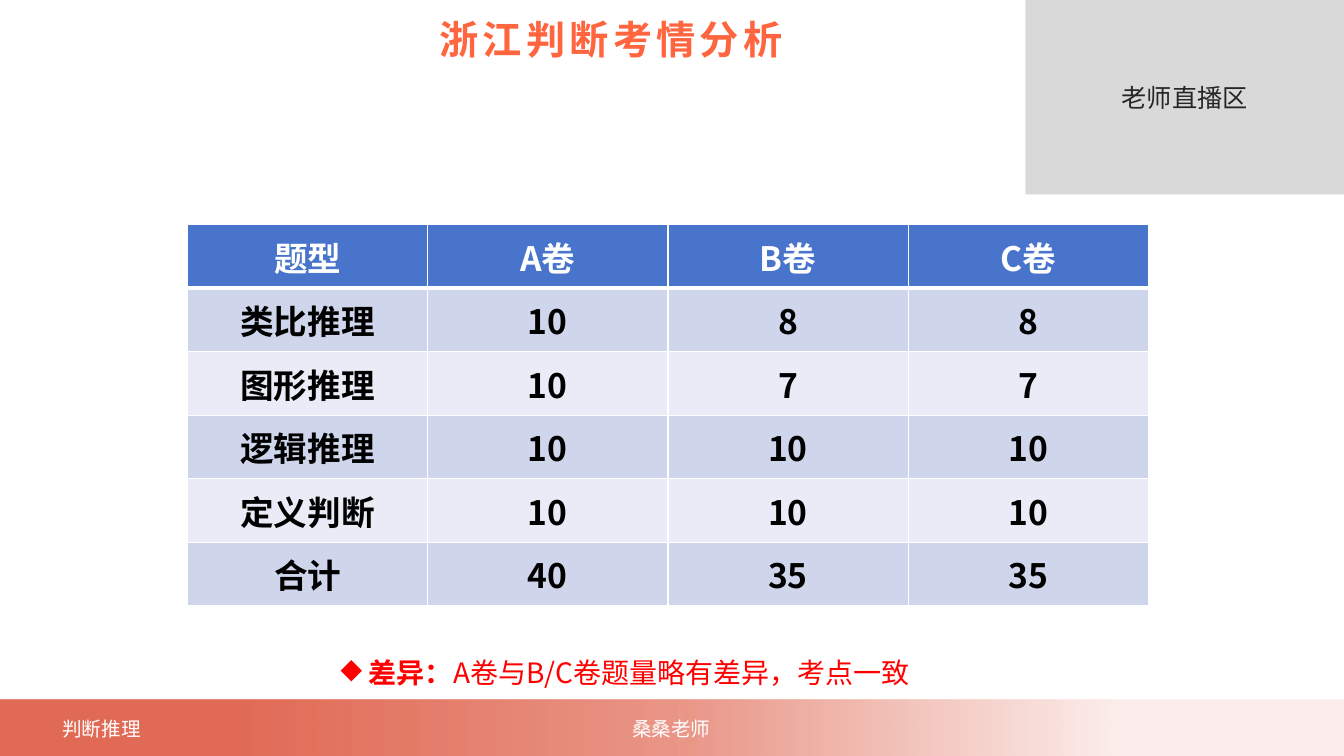
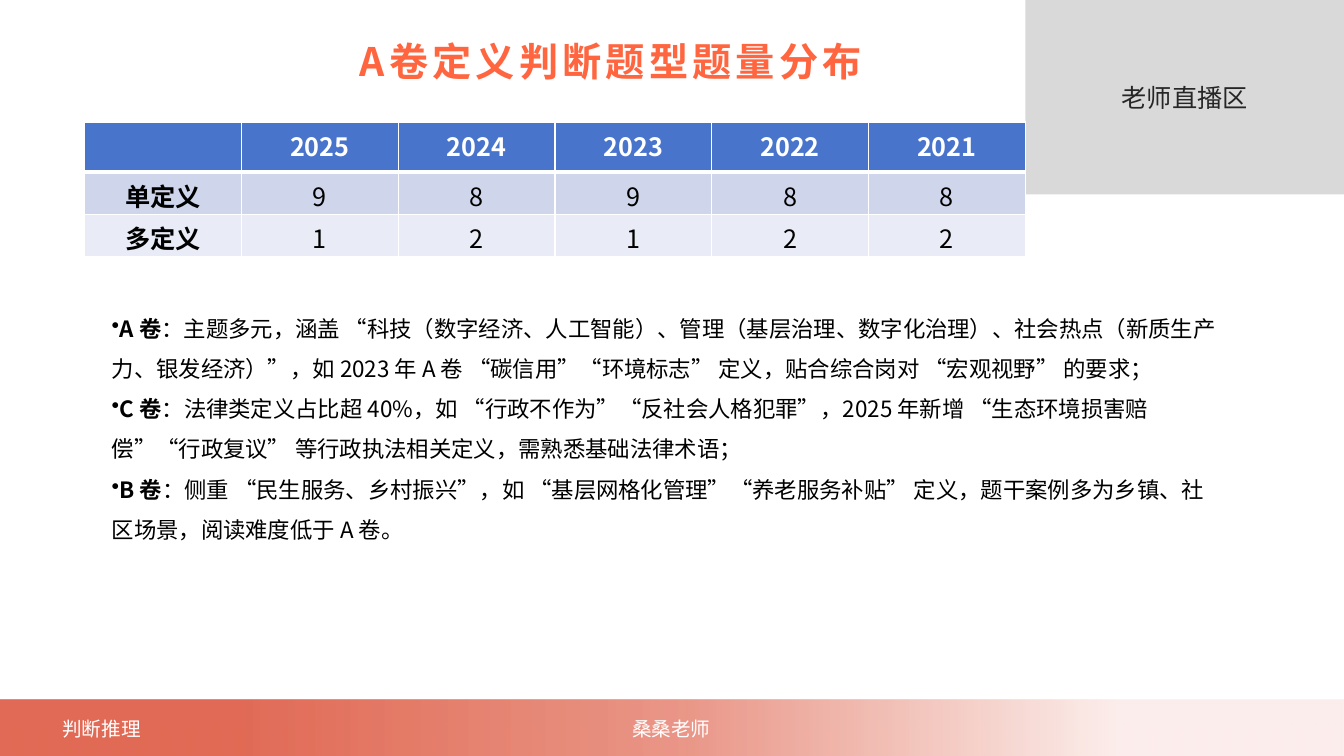
from dataclasses import dataclass

from lxml import etree
from pptx import Presentation
from pptx.dml.color import RGBColor
from pptx.enum.shapes import MSO_SHAPE
from pptx.enum.text import MSO_ANCHOR, PP_ALIGN
from pptx.oxml.ns import qn
from pptx.util import Inches, Pt

RECT = MSO_SHAPE.RECTANGLE
TOP, MIDDLE = MSO_ANCHOR.TOP, MSO_ANCHOR.MIDDLE
LEFT, CENTER = PP_ALIGN.LEFT, PP_ALIGN.CENTER


@dataclass(frozen=True)
class Theme:
    font: str = "Noto Sans CJK SC"
    white: str = "FFFFFF"
    black: str = "000000"
    title: str = "FF653F"
    accent: str = "FF0000"
    live_fill: str = "D9D9D9"
    live_text: str = "262626"
    footer: str = "DC5037"
    footer_stops: tuple = ((18, 84), (51, 59), (83, 10))  # position %, opacity %
    header: str = "4874CB"
    bands: tuple = ("CFD6EC", "E9EBF6")
    title_size: int = 28
    table_size: int = 24
    note_size: int = 20
    small_table_size: int = 18
    live_size: int = 18
    body_size: int = 16
    footer_size: int = 14


T = Theme()


# ---- Text helpers ----
def style_run(r, size, color, bold=False, spacing=0):
    r.font.size = Pt(size)
    r.font.bold = bold
    r.font.name = T.font
    r.font.color.rgb = RGBColor.from_string(color)
    rPr = r.font._element
    etree.SubElement(rPr, qn("a:ea")).set("typeface", T.font)
    if spacing:
        rPr.set("spc", str(spacing * 100))


def set_text(tf, text, size, color, bold=False, align=LEFT, spacing=0):
    tf.text = text
    p = tf.paragraphs[0]
    p.alignment = align
    for r in p.runs:
        style_run(r, size, color, bold, spacing)


def add_text_box(s, box, wrap=True, anchor=TOP):
    tf = s.shapes.add_textbox(*map(Inches, box)).text_frame
    tf.word_wrap = wrap
    tf.vertical_anchor = anchor
    return tf


def add_bullets(s, box, items, size, color, bullet, line_spacing, indent=0):
    """Each item is a bold lead followed by regular text."""
    tf = add_text_box(s, box)
    for i, (lead, rest) in enumerate(items):
        p = tf.paragraphs[0] if i == 0 else tf.add_paragraph()
        pPr = p._p.get_or_add_pPr()
        pPr.set("marL", str(Inches(indent)))
        pPr.set("indent", str(-Inches(indent)))
        etree.SubElement(pPr, qn("a:buChar")).set("char", bullet)
        p.line_spacing = line_spacing
        for text, bold in ((lead, True), (rest, False)):
            r = p.add_run()
            r.text = text
            style_run(r, size, color, bold)


# ---- Shared frame ----
def add_panel(s, box):
    sp = s.shapes.add_shape(RECT, *map(Inches, box))
    sp.shadow.inherit = False
    sp.line.fill.background()
    return sp


def add_footer(s, box):
    left, top, width, height = box
    sp = add_panel(s, box)
    sp.fill.gradient()
    sp.fill.gradient_angle = 0
    stops = sp._element.spPr.find(".//" + qn("a:gsLst"))
    for old in list(stops):
        stops.remove(old)
    for pos, alpha in T.footer_stops:
        gs = etree.SubElement(stops, qn("a:gs"), pos=str(pos * 1000))
        clr = etree.SubElement(gs, qn("a:srgbClr"), val=T.footer)
        etree.SubElement(clr, qn("a:alpha"), val=str(alpha * 1000))
    for x, text in ((0.52, "判断推理"), (6.17, "桑桑老师")):
        tf = add_text_box(s, (left + x, top + 0.12, 0.98, 0.34), wrap=False)
        set_text(tf, text, T.footer_size, T.white)


def add_frame(prs, title, title_top):
    s = prs.slides.add_slide(prs.slide_layouts[6])
    # Live video area
    sp = add_panel(s, (10.17, 0, 3.16, 1.93))
    sp.fill.solid()
    sp.fill.fore_color.rgb = RGBColor.from_string(T.live_fill)
    sp.text_frame.vertical_anchor = MIDDLE
    set_text(sp.text_frame, "老师直播区", T.live_size, T.live_text, align=CENTER)
    # Footer band and title
    add_footer(s, (0, 6.94, 13.33, 0.57))
    tf = add_text_box(s, (0.31, title_top, 11.5, 0.77), anchor=MIDDLE)
    set_text(tf, title, T.title_size, T.title, True, CENTER, spacing=3)
    return s


# ---- Tables ----
def set_borders(cell, widths):
    tcPr = cell._tc.get_or_add_tcPr()
    for side, width in widths.items():
        ln = etree.SubElement(tcPr, qn("a:ln" + side), w=str(Pt(width)))
        fill = etree.SubElement(ln, qn("a:solidFill"))
        etree.SubElement(fill, qn("a:srgbClr"), val=T.white)


def add_data_table(s, box, rows, size, heights, anchor=TOP, bold_values=False):
    shape = s.shapes.add_table(len(rows), len(rows[0]), *map(Inches, box))
    table = shape.table
    for row, height in zip(table.rows, heights):
        row.height = Inches(height)
    for i, values in enumerate(rows):
        head = i == 0
        fill = T.header if head else T.bands[(i - 1) % 2]
        color = T.white if head else T.black
        # A thick rule separates the header from the body
        widths = {"L": 1, "R": 1, "T": 3 if i == 1 else 1, "B": 3 if head else 1}
        for j, value in enumerate(values):
            cell = table.cell(i, j)
            set_borders(cell, widths)
            cell.fill.solid()
            cell.fill.fore_color.rgb = RGBColor.from_string(fill)
            cell.vertical_anchor = anchor
            bold = head or j == 0 or bold_values
            set_text(cell.text_frame, value, size, color, bold, CENTER)


# ---- Slides ----
def add_overview_slide(prs):
    s = add_frame(prs, "浙江判断考情分析", 0)
    rows = [
        ("题型", "A卷", "B卷", "C卷"),
        ("类比推理", "10", "8", "8"),
        ("图形推理", "10", "7", "7"),
        ("逻辑推理", "10", "10", "10"),
        ("定义判断", "10", "10", "10"),
        ("合计", "40", "35", "35"),
    ]
    add_data_table(s, (1.86, 2.23, 9.53, 3.78), rows, T.table_size,
                   [0.63] * len(rows), MIDDLE, bold_values=True)
    add_bullets(s, (3.28, 6.35, 6.26, 0.54),
                [("差异：", "A卷与B/C卷题量略有差异，考点一致")],
                T.note_size, T.accent, "◆", 1.3, indent=0.28)


def add_distribution_slide(prs):
    s = add_frame(prs, "A卷定义判断题型题量分布", 0.22)
    rows = [
        ("", "2025", "2024", "2023", "2022", "2021"),
        ("单定义", "9", "8", "9", "8", "8"),
        ("多定义", "1", "2", "1", "2", "2"),
    ]
    add_data_table(s, (0.84, 1.21, 9.33, 1.34), rows, T.small_table_size,
                   [0.5, 0.42, 0.42])
    items = [
        ("A 卷", "：主题多元，涵盖 “科技（数字经济、人工智能）、管理（基层治理、数字化治理）、"
                "社会热点（新质生产力、银发经济）”，如 2023 年 A 卷 “碳信用”“环境标志” 定义，"
                "贴合综合岗对 “宏观视野” 的要求；"),
        ("C 卷", "：法律类定义占比超 40%，如 “行政不作为”“反社会人格犯罪”，2025 年新增 "
                "“生态环境损害赔偿”“行政复议” 等行政执法相关定义，需熟悉基础法律术语；"),
        ("B 卷", "：侧重 “民生服务、乡村振兴”，如 “基层网格化管理”“养老服务补贴” 定义，"
                "题干案例多为乡镇、社区场景，阅读难度低于 A 卷。"),
    ]
    add_bullets(s, (1.01, 2.94, 11.19, 2.52), items, T.body_size, T.black, "•", 1.5)


def main():
    prs = Presentation()
    prs.slide_width, prs.slide_height = Inches(13.33), Inches(7.5)
    add_overview_slide(prs)
    add_distribution_slide(prs)
    prs.save("out.pptx")


if __name__ == "__main__":
    main()
